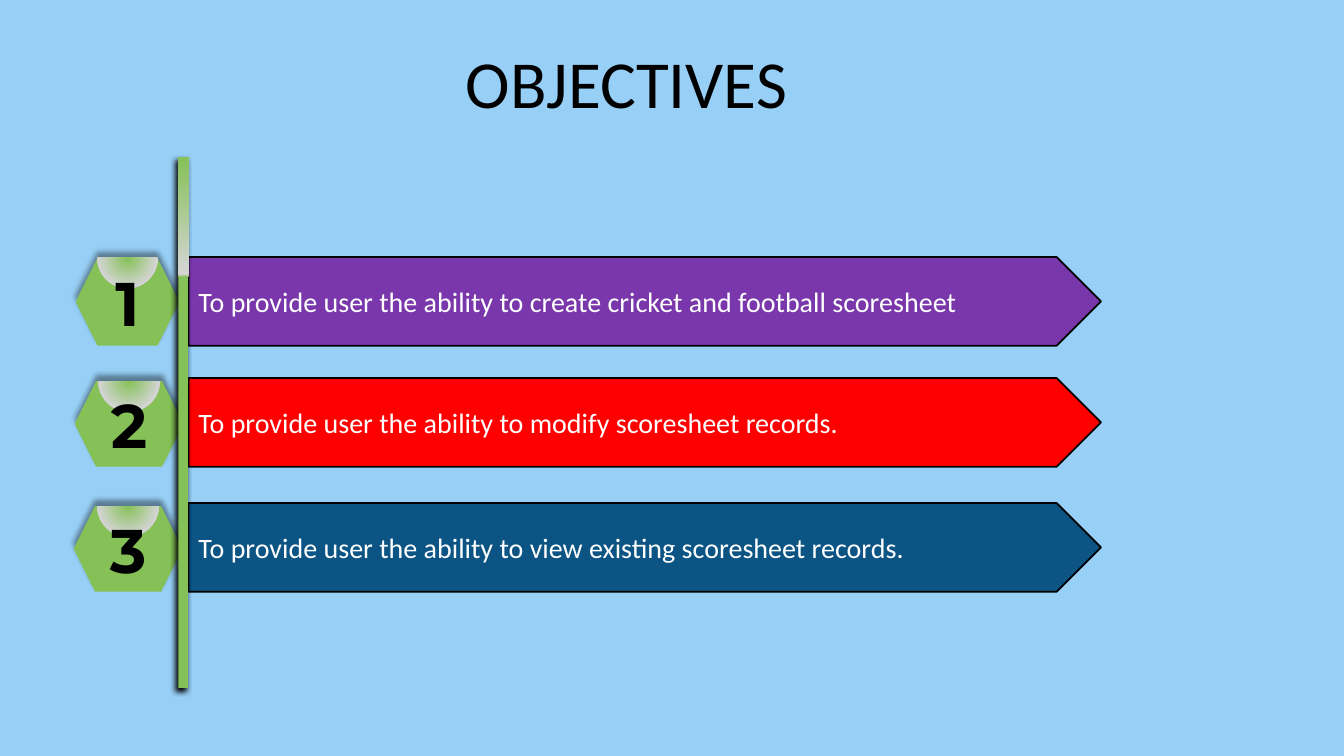
from lxml.etree import SubElement
from pptx import Presentation
from pptx.dml.color import RGBColor
from pptx.enum.shapes import MSO_SHAPE as Preset
from pptx.enum.text import MSO_ANCHOR as Anchor, PP_ALIGN as Align
from pptx.oxml.ns import qn
from pptx.util import Inches, Pt

GREEN, GREY, BLACK, WHITE = "86C157", "D5D5D5", "000000", "FFFFFF"


def write(box, words, align, anchor, **font):
    frame = box.text_frame
    frame.word_wrap = True
    frame.vertical_anchor = anchor
    para = frame.paragraphs[0]
    para.alignment = align
    span = para.add_run()
    span.text = words
    span.font.color.rgb = RGBColor.from_string(font.pop("color"))
    for name, value in font.items():
        setattr(span.font, name, value)


def add_glossy(preset, place, opacity, distance, angle):
    shape = page.shapes.add_shape(preset, *map(Inches, place))
    shape.line.fill.background()
    shape.fill.background()
    shape.shadow.inherit = False
    props = shape.element.spPr
    gradient = SubElement(props, qn("a:gradFill"), rotWithShape="1")
    props.replace(props.find(qn("a:noFill")), gradient)
    stops = SubElement(gradient, qn("a:gsLst"))
    for share, color in ((0, GREEN), (44, GREY), (45, GREEN)):
        stop = SubElement(stops, qn("a:gs"), pos=str(share * 1000))
        SubElement(stop, qn("a:srgbClr"), val=color)
    circle = SubElement(gradient, qn("a:path"), path="circle")
    SubElement(circle, qn("a:fillToRect"), l="50000", t="-80000", r="50000", b="180000")
    shadow = SubElement(props.find(qn("a:effectLst")), qn("a:outerShdw"),
                        blurRad=str(Pt(4)), dist=str(Pt(distance)),
                        dir=str(angle * 60000), rotWithShape="0")
    tint = SubElement(shadow, qn("a:srgbClr"), val=BLACK)
    SubElement(tint, qn("a:alpha"), val=str(opacity * 1000))
    return shape


deck = Presentation()
deck.slide_width, deck.slide_height = Inches(13.33), Inches(7.5)
page = deck.slides.add_slide(deck.slide_layouts[6])
page.background.fill.solid()
page.background.fill.fore_color.rgb = RGBColor.from_string("97CFF6")

objectives = [
    ("To provide user the ability to create cricket and football scoresheet",
     "7937AB", 2.55, (0.75, 2.56, 1.03, 0.87)),
    ("To provide user the ability to modify scoresheet records.",
     "FF0000", 3.75, (0.74, 3.78, 1.08, 0.85)),
    ("To provide user the ability to view existing scoresheet records.",
     "0B5484", 4.99, (0.73, 5.02, 1.08, 0.85)),
]
for number, (words, color, top, badge_place) in enumerate(objectives, 1):
    badge = add_glossy(Preset.HEXAGON, badge_place, 40, 4, 270)
    write(badge, str(number), Align.CENTER, Anchor.MIDDLE,
          name="Montserrat", size=Pt(44), bold=True, color=BLACK)
    arrow = page.shapes.add_shape(Preset.PENTAGON, *map(Inches, (1.87, top, 9.05, 0.88)))
    arrow.shadow.inherit = False
    arrow.fill.solid()
    arrow.fill.fore_color.rgb = RGBColor.from_string(color)
    arrow.line.color.rgb = RGBColor.from_string(BLACK)
    arrow.line.width = Pt(1.25)
    write(arrow, words, Align.LEFT, Anchor.MIDDLE,
          name="Calibri", size=Pt(20), color=WHITE)

add_glossy(Preset.RECTANGLE, (1.77, 1.56, 0.1, 5.27), 100, 3, 135)

title = page.shapes.add_textbox(*map(Inches, (4.52, 0.36, 3.72, 0.91)))
write(title, "OBJECTIVES", Align.LEFT, Anchor.TOP,
      name="Calibri", size=Pt(48), color=BLACK)

deck.save("out.pptx")
